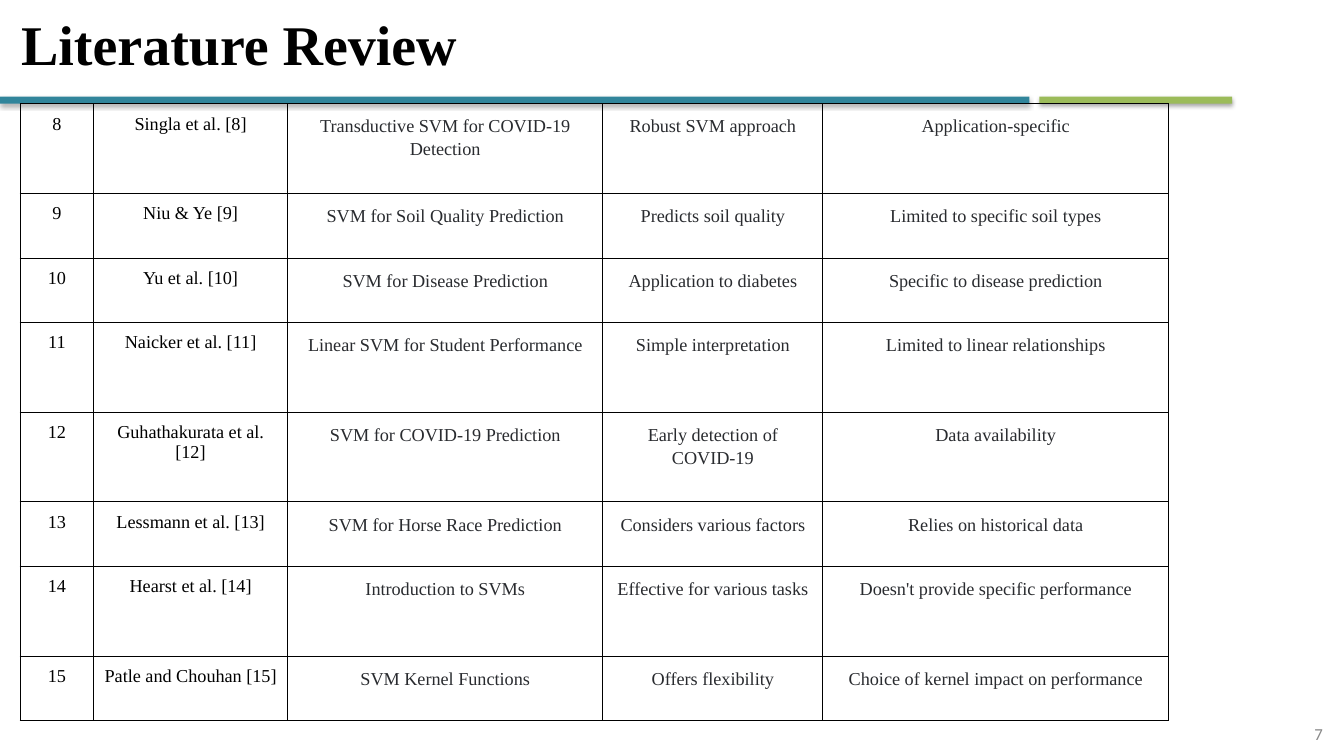
"""Build the literature review slide with its table of SVM studies."""
from typing import NamedTuple

from lxml.etree import SubElement
from pptx import Presentation
from pptx.dml.color import RGBColor
from pptx.enum.shapes import MSO_SHAPE as Shape
from pptx.enum.text import MSO_ANCHOR as Anchor, PP_ALIGN as Align
from pptx.oxml import parse_xml
from pptx.oxml.ns import nsdecls, qn
from pptx.slide import Slide
from pptx.table import _Cell as Cell
from pptx.text.text import TextFrame
from pptx.util import Emu, Pt

SCALE = 9144
SERIF = "Times New Roman"
BLACK = "000000"
CHARCOAL = "292B2F"


class Box(NamedTuple):
    left: int
    top: int
    width: int
    height: int


class Bar(NamedTuple):
    box: Box
    color: str


class TextStyle(NamedTuple):
    size: int
    color: str
    font: str = SERIF
    bold: bool = False
    align: Align = Align.CENTER
    spacing: float = 1.0


class Column(NamedTuple):
    width: int
    style: TextStyle


class Study(NamedTuple):
    number: str
    authors: str
    topic: str
    strength: str
    limitation: str
    height: int


LABEL = TextStyle(13, BLACK)
DETAIL = TextStyle(13, CHARCOAL, spacing=1.15)
TITLE = TextStyle(40, BLACK, bold=True, align=Align.LEFT, spacing=0.9)
PAGE_NUMBER = TextStyle(12, "888888", font="Calibri", align=Align.RIGHT)
SHORT, TALL = 64, 89

BARS = [
    Bar(Box(1031, 96, 191, 7), "9BBB59"),
    Bar(Box(0, 96, 1021, 7), "31859B"),
]
COLUMNS = [
    Column(73, LABEL),
    Column(192, LABEL),
    Column(313, DETAIL),
    Column(218, DETAIL),
    Column(343, DETAIL),
]
STUDIES = [
    Study("8", "Singla et al. [8]", "Transductive SVM for COVID-19 Detection",
          "Robust SVM approach", "Application-specific", TALL),
    Study("9", "Niu & Ye [9]", "SVM for Soil Quality Prediction",
          "Predicts soil quality", "Limited to specific soil types", SHORT),
    Study("10", "Yu et al. [10]", "SVM for Disease Prediction",
          "Application to diabetes", "Specific to disease prediction", SHORT),
    Study("11", "Naicker et al. [11]", "Linear SVM for Student Performance",
          "Simple interpretation", "Limited to linear relationships", TALL),
    Study("12", "Guhathakurata et al. [12]", "SVM for COVID-19 Prediction",
          "Early detection of COVID-19", "Data availability", TALL),
    Study("13", "Lessmann et al. [13]", "SVM for Horse Race Prediction",
          "Considers various factors", "Relies on historical data", SHORT),
    Study("14", "Hearst et al. [14]", "Introduction to SVMs",
          "Effective for various tasks", "Doesn't provide specific performance", TALL),
    Study("15", "Patle and Chouhan [15]", "SVM Kernel Functions",
          "Offers flexibility", "Choice of kernel impact on performance", SHORT),
]


def px(length: int) -> Emu:
    return Emu(length * SCALE)


def place(box: Box) -> list[Emu]:
    return [px(length) for length in box]


def rgb(color: str) -> RGBColor:
    return RGBColor.from_string(color)


def write(frame: TextFrame, text: str, style: TextStyle) -> None:
    frame.text = text
    frame.word_wrap = True
    paragraph = frame.paragraphs[0]
    paragraph.alignment = style.align
    paragraph.line_spacing = style.spacing
    font = paragraph.runs[0].font
    font.name, font.size, font.bold = style.font, Pt(style.size), style.bold
    font.color.rgb = rgb(style.color)


def draw_bar(slide: Slide, bar: Bar) -> None:
    shape = slide.shapes.add_shape(Shape.RECTANGLE, *place(bar.box))
    shape.fill.solid()
    shape.fill.fore_color.rgb = rgb(bar.color)
    shape.line.fill.background()
    shape.shadow.inherit = False
    effects = shape._element.spPr.find(qn("a:effectLst"))
    effects.append(parse_xml(
        f'<a:outerShdw {nsdecls("a")} blurRad="{Pt(3.1)}" dist="{Pt(1.8)}" '
        f'dir="5400000" rotWithShape="0"><a:srgbClr val="{BLACK}">'
        '<a:alpha val="35000"/></a:srgbClr></a:outerShdw>'))


def draw_title(slide: Slide, text: str, box: Box) -> None:
    title = slide.shapes.title
    title.left, title.top, title.width, title.height = place(box)
    title.text_frame.vertical_anchor = Anchor.MIDDLE
    write(title.text_frame, text, TITLE)


def draw_page_number(slide: Slide, text: str, box: Box) -> None:
    frame = slide.shapes.add_textbox(*place(box)).text_frame
    frame.vertical_anchor = Anchor.MIDDLE
    write(frame, text, PAGE_NUMBER)


def add_borders(cell: Cell) -> None:
    properties = cell._tc.get_or_add_tcPr()
    for index, side in enumerate(("lnL", "lnR", "lnT", "lnB")):
        line = SubElement(properties, qn(f"a:{side}"), w=str(Pt(0.75)))
        fill = SubElement(line, qn("a:solidFill"))
        SubElement(fill, qn("a:srgbClr"), val=BLACK)
        properties.insert(index, line)


def draw_cell(cell: Cell, text: str, style: TextStyle) -> None:
    cell.margin_left = cell.margin_right = px(10)
    cell.margin_top = cell.margin_bottom = px(10)
    cell.fill.background()
    add_borders(cell)
    write(cell.text_frame, text, style)


def draw_table(slide: Slide, left: int, top: int) -> None:
    box = Box(left, top, sum(column.width for column in COLUMNS),
              sum(study.height for study in STUDIES))
    table = slide.shapes.add_table(len(STUDIES), len(COLUMNS), *place(box)).table
    table.first_row = table.horz_banding = False
    for table_column, column in zip(table.columns, COLUMNS):
        table_column.width = px(column.width)
    for row, study in zip(table.rows, STUDIES):
        row.height = px(study.height)
        for cell, text, column in zip(row.cells, study, COLUMNS):
            draw_cell(cell, text, column.style)


def main() -> None:
    presentation = Presentation()
    presentation.slide_width, presentation.slide_height = px(1333), px(750)
    slide = presentation.slides.add_slide(
        presentation.slide_layouts.get_by_name("Title Only"))
    for bar in BARS:
        draw_bar(slide, bar)
    draw_title(slide, "Literature Review", Box(11, 7, 1210, 79))
    draw_page_number(slide, "7", Box(1022, 713, 300, 30))
    draw_table(slide, 20, 103)
    presentation.save("out.pptx")


if __name__ == "__main__":
    main()
